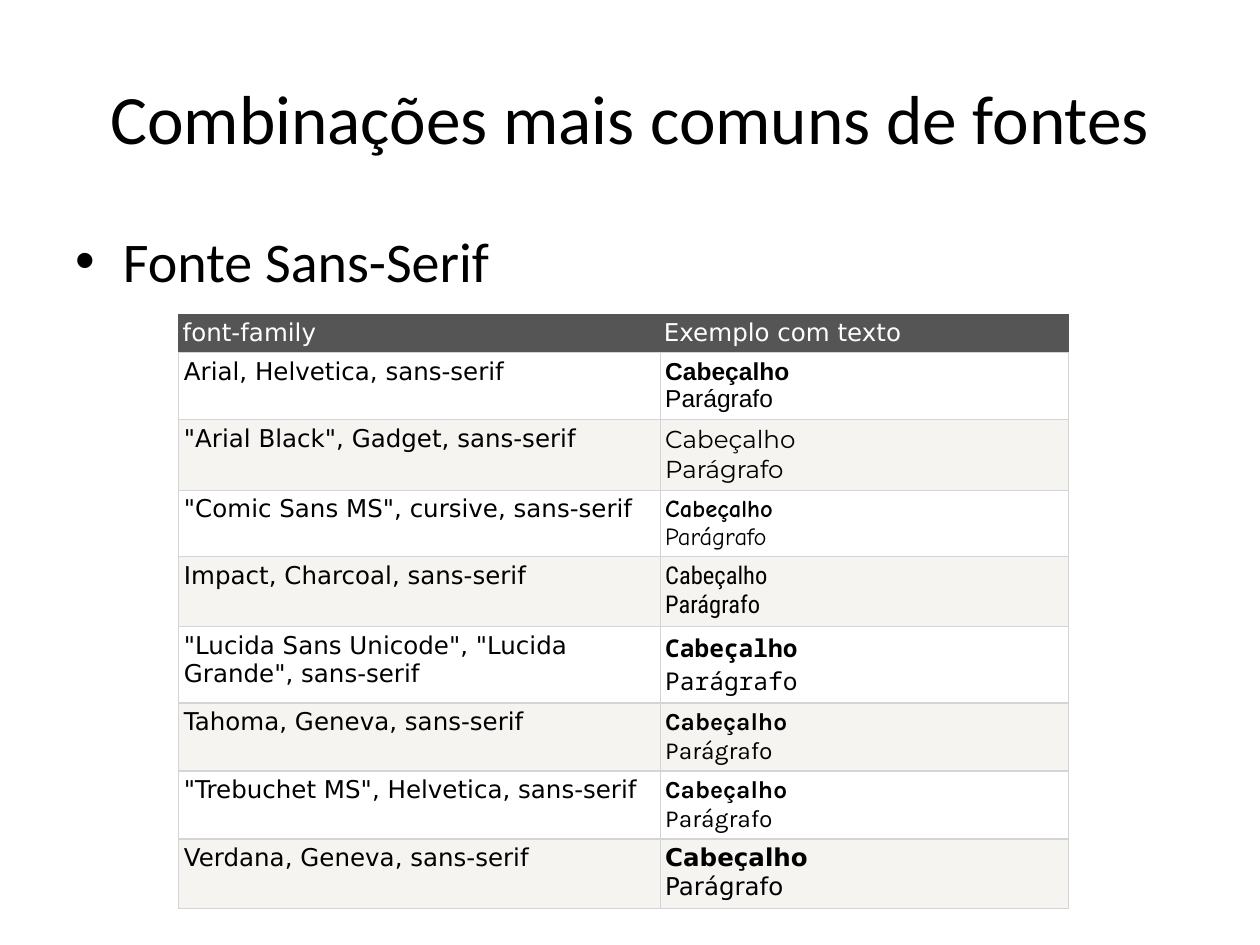
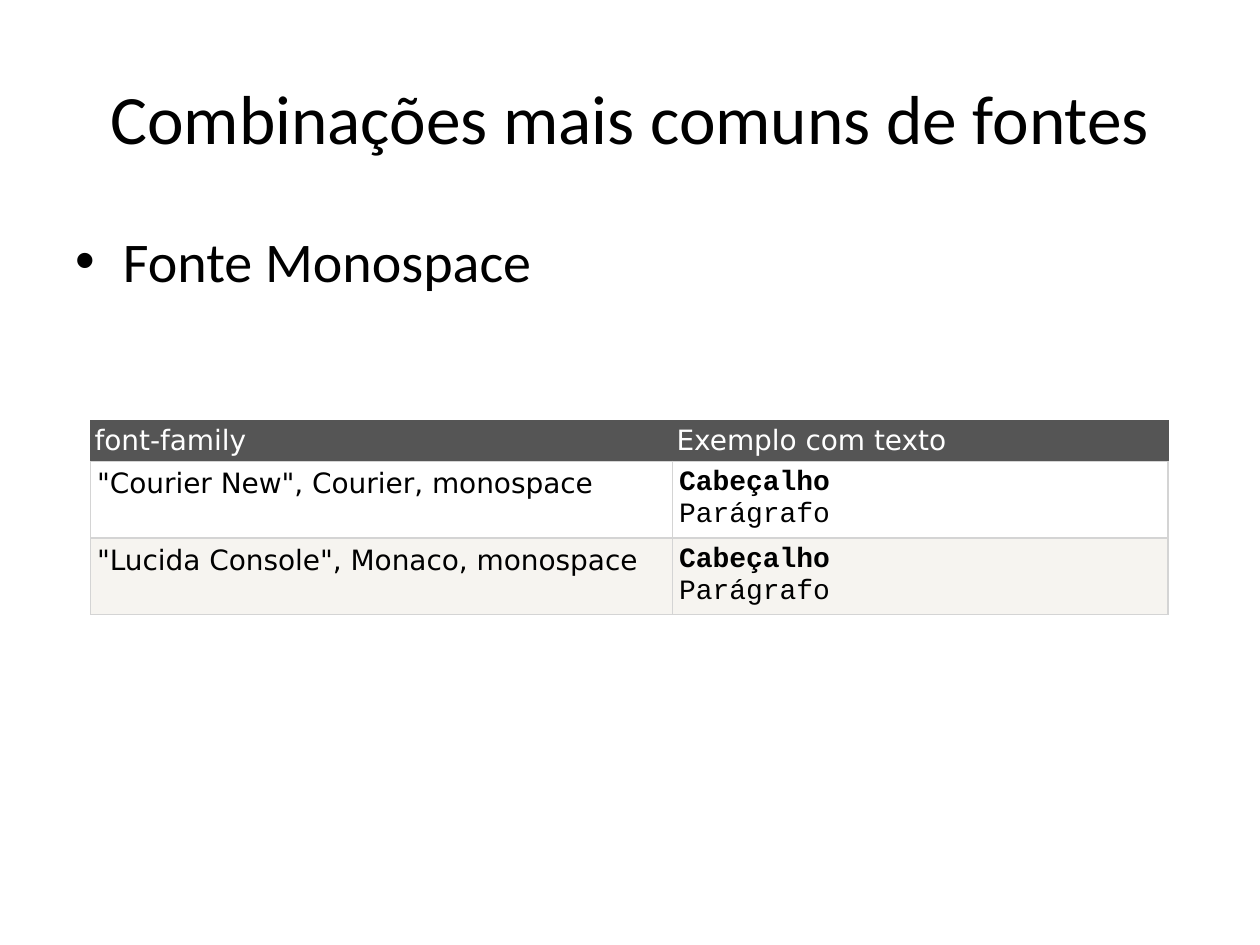
"""Builds two slides with tables of common web font combinations."""
from lxml import etree
from pptx import Presentation
from pptx.dml.color import RGBColor
from pptx.enum.text import MSO_ANCHOR, MSO_AUTO_SIZE, PP_ALIGN
from pptx.oxml.ns import qn
from pptx.util import Inches, Pt

MIDDLE, TOP = MSO_ANCHOR.MIDDLE, MSO_ANCHOR.TOP
CENTER, LEFT = PP_ALIGN.CENTER, PP_ALIGN.LEFT
NO_FIT = MSO_AUTO_SIZE.NONE

COLORS = {"text": "000000", "header_text": "FFFFFF", "header": "555555",
          "odd": "FFFFFF", "even": "F6F4F0", "border": "D4D4D4"}
TITLE = "Combinações mais comuns de fontes"
HEADINGS = ("font-family", "Exemplo com texto")
SAMPLE = ("Cabeçalho", "Parágrafo")
TABLE_FONT = "DejaVu Sans"
HEADER_INSET = 0.03
BORDER_WIDTH = Pt(0.75)

SANS_SERIF = {
    "at": (1.42, 2.5), "columns": (3.82, 3.24), "size": 14, "inset": 0.04,
    "header_height": 0.3,
    "rows": [
        ("Arial, Helvetica, sans-serif", "Arial", True, 0.53),
        ('"Arial Black", Gadget, sans-serif', "Montserrat", False, 0.56),
        ('"Comic Sans MS", cursive, sans-serif', "Comic Neue", True, 0.53),
        ("Impact, Charcoal, sans-serif", "Roboto Condensed", False, 0.55),
        ('"Lucida Sans Unicode", "Lucida Grande", sans-serif',
         "Noto Sans Mono", True, 0.61),
        ("Tahoma, Geneva, sans-serif", "Karla", True, 0.54),
        ('"Trebuchet MS", Helvetica, sans-serif', "Karla", True, 0.54),
        ("Verdana, Geneva, sans-serif", "DejaVu Sans", True, 0.55),
    ],
}
MONOSPACE = {
    "at": (0.72, 3.34), "columns": (4.62, 3.93), "size": 16, "inset": 0.05,
    "header_height": 0.32,
    "rows": [
        ('"Courier New", Courier, monospace', "Courier New", True, 0.61),
        ('"Lucida Console", Monaco, monospace', "Courier New", True, 0.61),
    ],
}


def set_values(target, values):
    """Set each named attribute of the target."""
    for name, value in values.items():
        setattr(target, name, value)


def add_span(para, text, size, font, color="text", bold=False):
    """Add one formatted run to a paragraph."""
    span = para.add_run()
    span.text = text
    set_values(span.font, {"size": Pt(size), "name": font, "bold": bold})
    span.font.color.rgb = RGBColor.from_string(COLORS[color])


def fill_placeholder(box, at, text, size, anchor, align):
    """Place a title or body placeholder and write its single paragraph."""
    places = map(Inches, at)
    set_values(box, dict(zip(("left", "top", "width", "height"), places)))
    set_values(box.text_frame, {"auto_size": NO_FIT, "word_wrap": True,
                                "vertical_anchor": anchor})
    para = box.text_frame.paragraphs[0]
    set_values(para, {"alignment": align, "space_before": Pt(0)})
    add_span(para, text, size, "Calibri")


def set_borders(cell, side_color, bottom_color):
    """Draw the four borders of a cell."""
    properties = cell._tc.get_or_add_tcPr()
    for index, side in enumerate(("lnL", "lnR", "lnT", "lnB")):
        line = etree.Element(qn(f"a:{side}"), w=str(BORDER_WIDTH))
        fill = etree.SubElement(line, qn("a:solidFill"))
        color = bottom_color if side == "lnB" else side_color
        etree.SubElement(fill, qn("a:srgbClr"), val=COLORS[color])
        properties.insert(index, line)


def style_cell(cell, fill, inset, side_color="border"):
    """Set the fill, margins and borders of a cell."""
    margins = ("margin_left", "margin_top", "margin_right", "margin_bottom")
    set_values(cell, dict.fromkeys(margins, Inches(inset)))
    cell.vertical_anchor = TOP
    cell.fill.solid()
    cell.fill.fore_color.rgb = RGBColor.from_string(COLORS[fill])
    set_borders(cell, side_color, "border")


def add_font_table(page, layout):
    """Add a table of font families, each with a sample in its font."""
    rows, columns, size = layout["rows"], layout["columns"], layout["size"]
    heights = [layout["header_height"]] + [row[-1] for row in rows]
    left, top = layout["at"]
    frame = page.shapes.add_table(
        len(heights), len(columns), Inches(left), Inches(top),
        Inches(sum(columns)), Inches(sum(heights)))
    table = frame.table
    table.horz_banding = False
    for column, width in zip(table.columns, columns):
        column.width = Inches(width)
    for row, height in zip(table.rows, heights):
        row.height = Inches(height)

    for column, heading in enumerate(HEADINGS):
        cell = table.cell(0, column)
        style_cell(cell, "header", HEADER_INSET, "header")
        add_span(cell.text_frame.paragraphs[0], heading, size, TABLE_FONT,
                 "header_text")

    for number, (family, font, bold, _) in enumerate(rows, start=1):
        name_cell, sample_cell = table.cell(number, 0), table.cell(number, 1)
        for cell in (name_cell, sample_cell):
            style_cell(cell, "odd" if number % 2 else "even", layout["inset"])
        add_span(name_cell.text_frame.paragraphs[0], family, size, TABLE_FONT)
        sample = sample_cell.text_frame
        heading, body = SAMPLE
        add_span(sample.paragraphs[0], heading, size, font, bold=bold)
        add_span(sample.add_paragraph(), body, size, font)


def add_page(deck, bullet, layout):
    """Add a slide with the shared title, one bullet and a font table."""
    page = deck.slides.add_slide(deck.slide_layouts[1])
    title, body = page.placeholders
    fill_placeholder(title, (0.5, 0.3, 9, 1.25), TITLE, 39.6, MIDDLE, CENTER)
    fill_placeholder(body, (0.5, 1.75, 9, 4.95), bullet, 32, TOP, LEFT)
    add_font_table(page, layout)


def main():
    """Build and save the deck."""
    deck = Presentation()
    set_values(deck, {"slide_width": Inches(10), "slide_height": Inches(7.5)})
    add_page(deck, "Fonte Sans-Serif", SANS_SERIF)
    add_page(deck, "Fonte Monospace", MONOSPACE)
    deck.save("out.pptx")


if __name__ == "__main__":
    main()
